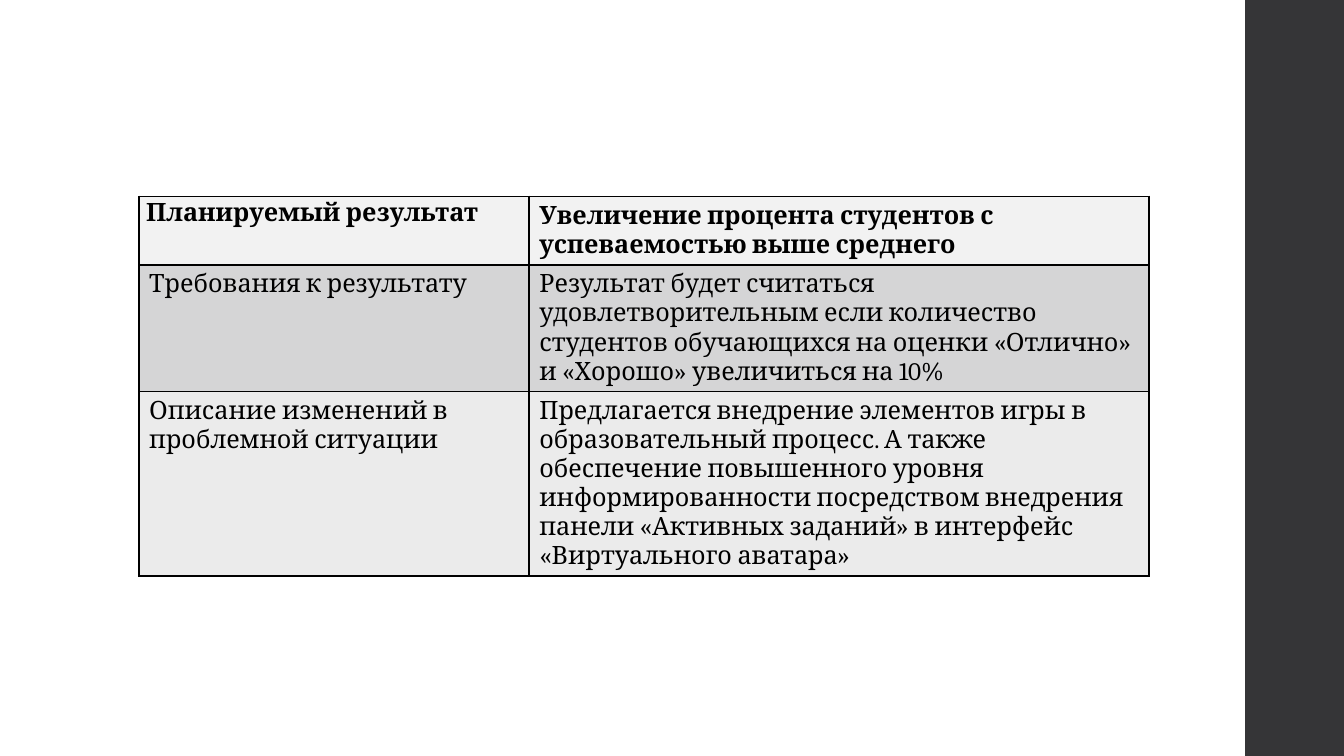
from lxml.etree import SubElement
from pptx import Presentation
from pptx.dml.color import RGBColor
from pptx.enum.shapes import MSO_SHAPE
from pptx.oxml.ns import qn
from pptx.util import Inches, Pt

ROWS = [
    ("Планируемый результат",
     "Увеличение процента студентов с успеваемостью выше среднего"),
    ("Требования к результату",
     "Результат будет считаться удовлетворительным если количество студентов "
     "обучающихся на оценки «Отлично» и «Хорошо» увеличиться на 10%"),
    ("Описание изменений в проблемной ситуации",
     "Предлагается внедрение элементов игры в образовательный процесс. "
     "А также обеспечение повышенного уровня информированности посредством "
     "внедрения панели «Активных заданий» в интерфейс «Виртуального аватара»"),
]
WIDTHS = (3.87, 6.15)
HEIGHTS = (0.68, 1.25, 1.83)
THEME = {
    "font": "Cambria", "size": 18, "text": "000000", "line": "000000",
    "border": 1.5, "side": "353537", "rows": ("F2F2F2", "D5D5D6", "EBEBEB"),
}


def paint(item, color):
    item.fill.solid()
    item.fill.fore_color.rgb = RGBColor.from_string(color)


def write(frame, text, bold=False, spacing=None, after=None):
    frame.word_wrap = True
    para = frame.paragraphs[0]
    para.line_spacing = spacing
    para.space_after = after
    run = para.add_run()
    run.text = text
    font = run.font
    font.name, font.size, font.bold = THEME["font"], Pt(THEME["size"]), bold
    font.color.rgb = RGBColor.from_string(THEME["text"])


def outline(cell):
    """Draw all four cell borders; they must precede the fill in the XML."""
    props = cell._tc.get_or_add_tcPr()
    for side in ("lnL", "lnR", "lnT", "lnB"):
        line = SubElement(props, qn(f"a:{side}"), w=str(Pt(THEME["border"])))
        fill = SubElement(line, qn("a:solidFill"))
        SubElement(fill, qn("a:srgbClr"), val=THEME["line"])


def add_side(slide):
    bar = slide.shapes.add_shape(
        MSO_SHAPE.RECTANGLE, Inches(12.35), 0, Inches(0.98), Inches(7.5))
    bar.shadow.inherit = False
    paint(bar, THEME["side"])
    bar.line.fill.background()


def add_grid(slide):
    table = slide.shapes.add_table(
        len(ROWS), len(WIDTHS), Inches(1.38), Inches(1.95),
        Inches(sum(WIDTHS)), Inches(sum(HEIGHTS))).table
    table.horz_banding = False
    for col, width in zip(table.columns, WIDTHS):
        col.width = Inches(width)
    for r, texts in enumerate(ROWS):
        table.rows[r].height = Inches(HEIGHTS[r])
        for c, text in enumerate(texts):
            cell = table.cell(r, c)
            outline(cell)
            paint(cell, THEME["rows"][r])
            if r == c == 0:
                cell.margin_left = cell.margin_right = Inches(0.07)
                cell.margin_top = cell.margin_bottom = 0
                write(cell.text_frame, text, bold=True, spacing=1.07, after=Pt(8))
            else:
                write(cell.text_frame, text, bold=r == 0)


def main():
    deck = Presentation()
    deck.slide_width, deck.slide_height = Inches(13.33), Inches(7.5)
    slide = deck.slides.add_slide(deck.slide_layouts[6])
    add_side(slide)
    add_grid(slide)
    deck.save("out.pptx")


if __name__ == "__main__":
    main()
